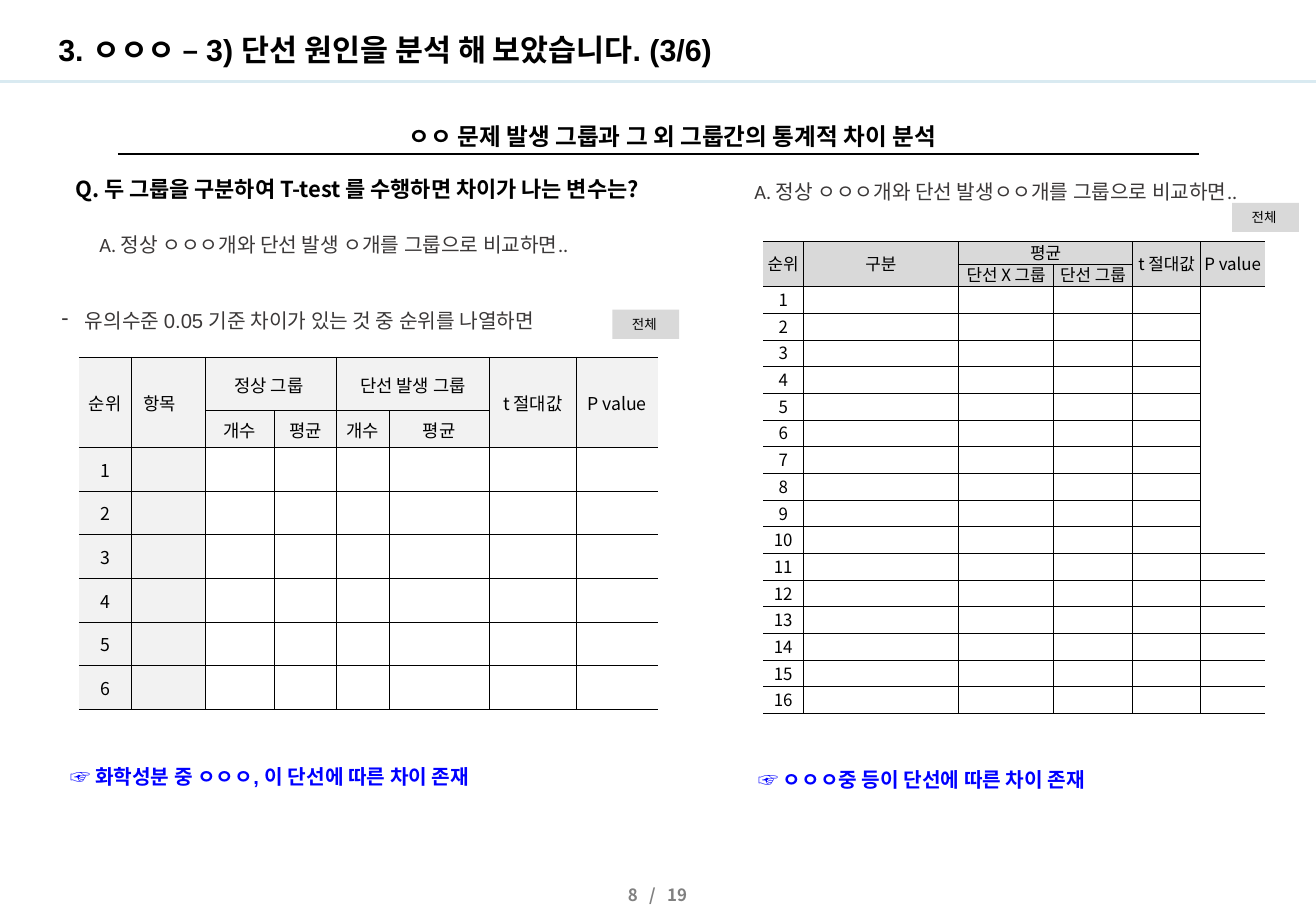
from lxml.etree import SubElement
from pptx import Presentation
from pptx.dml.color import RGBColor
from pptx.enum.shapes import MSO_CONNECTOR as Connector, MSO_SHAPE as Shape
from pptx.enum.text import MSO_ANCHOR as Anchor, PP_ALIGN as Align
from pptx.oxml.ns import qn
from pptx.util import Inches, Pt

NOTO = "Noto Sans CJK KR"
BLACK, GRAY, BLUE, WHITE = "000000", "3B3838", "0000FF", "FFFFFF"
LIGHT, SHADE = "F2F2F2", "D9D9D9"

TITLE = "3. ㅇㅇㅇ – 3) 단선 원인을 분석 해 보았습니다. (3/6)"
# box, spans of (text, font), size, colour, bold, line spacing, alignment
TEXTS = [
    ((4.61, 7.2, 1.6, 0.25), [("8   /   19", NOTO)], 10, "808080", True, 1.2, Align.CENTER),
    ((0.14, 0.91, 10.79, 0.38), [("ㅇㅇ 문제 발생 그룹과 그 외 그룹간의 통계적 차이 분석", NOTO)],
     14, BLACK, True, 1.2, Align.CENTER),
    ((0.72, 1.76, 4.83, 0.4), [("A. 정상 ㅇㅇㅇ개와 단선 발생 ㅇ개를 그룹으로 비교하면..", "Calibri")],
     12, GRAY, False, 1.5, Align.LEFT),
    ((6.11, 1.33, 4.83, 0.4), [("A. 정상 ㅇㅇㅇ개와 단선 발생ㅇㅇ개를 그룹으로 비교하면..", "Calibri")],
     12, GRAY, False, 1.5, Align.LEFT),
    ((0.48, 6.14, 5.11, 0.4), [("☞ ", NOTO), ("화학성분 중 ㅇㅇㅇ, 이 단선에 따른 차이 존재", "Arial")],
     12, BLUE, True, 1.5, Align.LEFT),
    ((6.14, 6.17, 5.11, 0.4), [("☞ ", NOTO), ("ㅇㅇㅇ중 등이 단선에 따른 차이 존재", "Arial")],
     12, BLUE, True, 1.5, Align.LEFT),
]
QUESTION = "Q. 두 그룹을 구분하여 T-test 를 수행하면 차이가 나는 변수는?"
CRITERION = "유의수준 0.05 기준 차이가 있는 것 중 순위를 나열하면"
TAG = "전체 "
TAG_CORNERS = [(5.04, 2.55), (10.14, 1.67)]
RULES = [(0, 0.67, 10.83, "D9EAF1", 2), (0.97, 1.27, 9.87, BLACK, 1)]

# headings: (row, column, text); merges: (top, left, bottom, right)
GROUP_TABLE = dict(
    corner=(0.65, 2.94), columns=[0.43, 0.61, 0.57, 0.51, 0.43, 0.83, 0.71, 0.68],
    header_rows=[0.44, 0.3], row_height=0.36, ranks=6, size=10.5, margin=0.01,
    spacing=1, border=0.25, header_fill=LIGHT,
    body_fills=[LIGHT] * 2 + [WHITE] * 6,
    headings=[(0, 0, "순위"), (0, 1, "항목\u3000"), (0, 2, "정상 그룹 "), (0, 4, "단선 발생 그룹"),
              (0, 6, "t 절대값"), (0, 7, "P value"),
              (1, 2, "개수"), (1, 3, "평균"), (1, 4, "개수"), (1, 5, "평균")],
    merges=[(0, 0, 1, 0), (0, 1, 1, 1), (0, 2, 0, 3), (0, 4, 0, 5), (0, 6, 1, 6), (0, 7, 1, 7)])
RANK_TABLE = dict(
    corner=(6.28, 1.99), columns=[0.33, 1.28, 0.78, 0.65, 0.56, 0.53],
    header_rows=[0.185, 0.185], row_height=0.22, ranks=16, size=10, margin=0,
    spacing=0.9, border=0.5, header_fill=SHADE,
    body_fills=[WHITE] * 4 + [None] * 2,
    headings=[(0, 0, "순위"), (0, 1, "구분"), (0, 2, "평균"), (0, 4, "t 절대값"), (0, 5, "P value"),
              (1, 2, "단선 X 그룹"), (1, 3, "단선 그룹")],
    merges=[(0, 0, 1, 0), (0, 1, 1, 1), (0, 2, 0, 3), (0, 4, 1, 4), (0, 5, 1, 5), (2, 5, 11, 5)])


def color(value):
    return RGBColor.from_string(value)


def inches(values):
    return [Inches(value) for value in values]


def set_margins(target, left, top, right, bottom):
    target.margin_left, target.margin_top = Inches(left), Inches(top)
    target.margin_right, target.margin_bottom = Inches(right), Inches(bottom)


def add_span(para, text, font, size, fill, bold=False):
    span = para.add_run()
    span.text = text
    span.font.name, span.font.size, span.font.bold = font, Pt(size), bold
    span.font.color.rgb = color(fill)
    SubElement(span.font._element, qn("a:ea"), typeface=NOTO)


def add_text(page, place, spans, size, fill, bold, spacing, align=Align.LEFT):
    box = page.shapes.add_textbox(*inches(place))
    box.text_frame.word_wrap = True
    para = box.text_frame.paragraphs[0]
    para.alignment, para.line_spacing = align, spacing
    for text, font in spans:
        add_span(para, text, font, size, fill, bold)
    return box


def add_rule(page, left, top, right, fill, width):
    rule = page.shapes.add_connector(Connector.STRAIGHT, *inches((left, top, right, top)))
    rule.line.color.rgb, rule.line.width = color(fill), Pt(width)
    SubElement(rule._element.spPr, qn("a:effectLst"))


def add_tag(page, left, top):
    tag = page.shapes.add_shape(Shape.RECTANGLE, *inches((left, top, 0.55, 0.24)))
    tag.shadow.inherit = False
    tag.fill.solid()
    tag.fill.fore_color.rgb = color(SHADE)
    tag.line.fill.background()
    set_margins(tag.text_frame, 0, 0, 0, 0)
    tag.text_frame.vertical_anchor = Anchor.MIDDLE
    para = tag.text_frame.paragraphs[0]
    para.alignment = Align.CENTER
    add_span(para, TAG, "Calibri", 8, BLACK)


def set_borders(cell, width, open_sides):
    properties = cell._tc.get_or_add_tcPr()
    for side in ("lnL", "lnR", "lnT", "lnB"):
        border = SubElement(properties, qn("a:" + side), w=str(Pt(width)))
        if side in open_sides:
            SubElement(border, qn("a:noFill"))
        else:
            solid = SubElement(border, qn("a:solidFill"))
            SubElement(solid, qn("a:srgbClr"), val=BLACK)


def add_rank_table(page, corner, columns, header_rows, row_height, ranks, size, margin,
                   spacing, border, header_fill, body_fills, headings, merges):
    heights = header_rows + [row_height] * ranks
    frame = page.shapes.add_table(len(heights), len(columns),
                                  *inches((*corner, sum(columns), sum(heights))))
    table = frame.table
    table.first_row = table.horz_banding = False
    for column, width in zip(table.columns, columns):
        column.width = Inches(width)
    labels = {(row, column): text for row, column, text in headings}
    labels.update({(rank + 1, 0): str(rank) for rank in range(1, ranks + 1)})
    last = len(columns) - 1
    for row, height in enumerate(heights):
        table.rows[row].height = Inches(height)
        for column in range(len(columns)):
            cell = table.cell(row, column)
            set_borders(cell, border, {0: ["lnL"], last: ["lnR"]}.get(column, []))
            fill = header_fill if row < len(header_rows) else body_fills[column]
            if fill:
                cell.fill.solid()
                cell.fill.fore_color.rgb = color(fill)
            else:
                cell.fill.background()
            set_margins(cell, margin, margin, margin, 0)
            cell.vertical_anchor = Anchor.MIDDLE
            para = cell.text_frame.paragraphs[0]
            para.alignment, para.line_spacing = Align.CENTER, spacing
            if (row, column) in labels:
                add_span(para, labels[row, column], NOTO, size, BLACK)
            else:
                para._p.get_or_add_endParaRPr().set("sz", str(int(size * 100)))
    for top, left, bottom, right in merges:
        table.cell(top, left).merge(table.cell(bottom, right))


def main():
    deck = Presentation()
    deck.slide_width, deck.slide_height = Inches(10.83), Inches(7.5)
    page = deck.slides.add_slide(deck.slide_layouts[5])

    title = page.shapes.title
    title.left, title.top, title.width, title.height = inches((0.38, 0.23, 9.9, 0.39))
    title.text_frame.vertical_anchor = Anchor.MIDDLE
    para = title.text_frame.paragraphs[0]
    para.alignment, para.line_spacing = Align.LEFT, 0.9
    add_span(para, TITLE, "Arial", 18, BLACK, True)

    for rule in RULES:
        add_rule(page, *rule)
    for text in TEXTS:
        add_text(page, *text)

    question = add_text(page, (0.54, 1.36, 5.26, 0.34), [(QUESTION, NOTO)], 13, BLACK, True, 1.2)
    set_margins(question.text_frame, 0.08, 0.04, 0.04, 0.04)
    question.text_frame.paragraphs[0].space_after = Pt(6)

    criterion = add_text(page, (0.41, 2.39, 4.74, 0.4), [(CRITERION, "Arial")], 12, GRAY, False, 1.5)
    properties = criterion.text_frame.paragraphs[0]._p.get_or_add_pPr()
    properties.set("marL", str(Inches(0.19)))
    properties.set("indent", str(Inches(-0.19)))
    SubElement(properties, qn("a:buChar"), char="-")

    for table in (GROUP_TABLE, RANK_TABLE):
        add_rank_table(page, **table)
    for corner in TAG_CORNERS:
        add_tag(page, *corner)
    deck.save("out.pptx")


if __name__ == "__main__":
    main()
